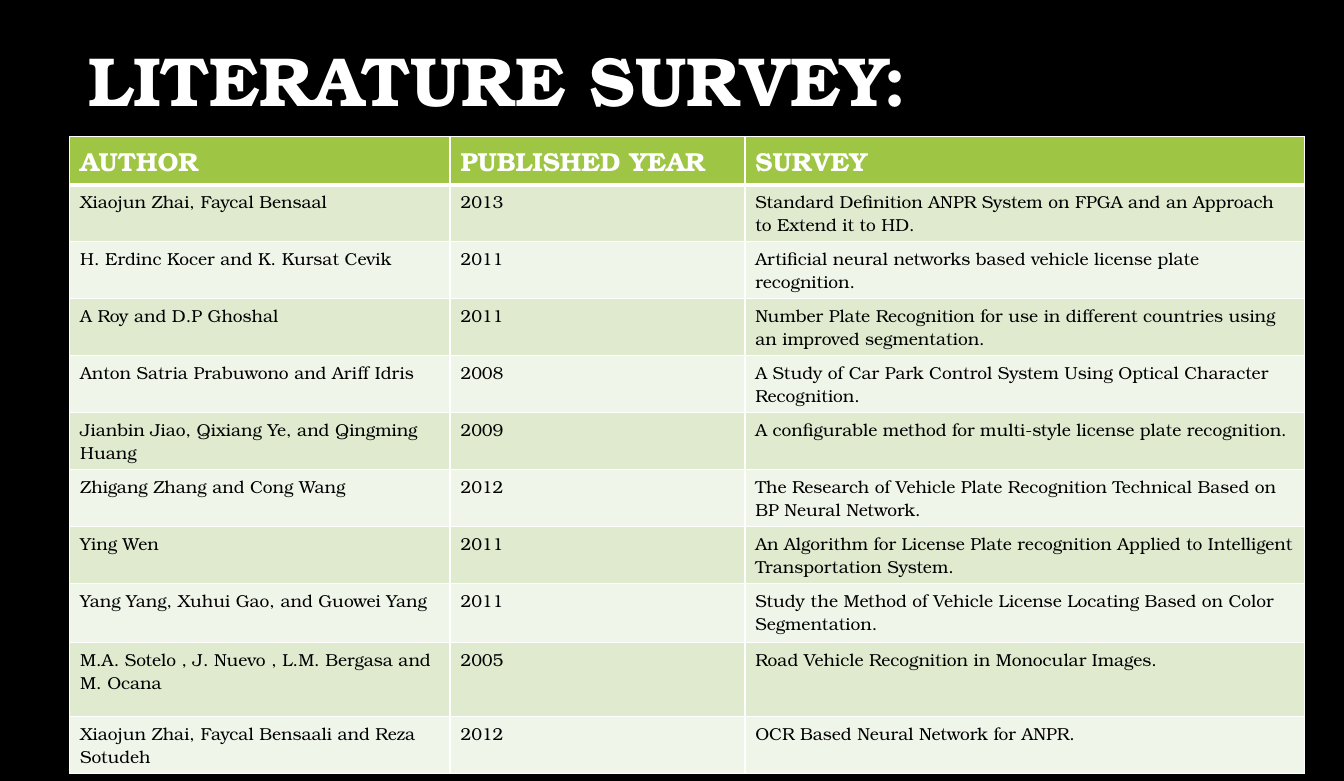
from lxml import etree
from pptx import Presentation
from pptx.dml.color import RGBColor
from pptx.enum.text import MSO_ANCHOR, MSO_AUTO_SIZE, PP_ALIGN
from pptx.oxml.ns import qn
from pptx.util import Inches, Pt

BOTTOM = MSO_ANCHOR.BOTTOM
TOP = MSO_ANCHOR.TOP
LEFT = PP_ALIGN.LEFT
NO_AUTOFIT = MSO_AUTO_SIZE.NONE
TITLE_ONLY = 5

SLIDE_COLUMNS, SLIDE_ROWS = 129, 75
GRID_UNIT = 0.1  # inches per grid column and row

WHITE, BLACK = "FFFFFF", "000000"
HEADER_GREEN = "9EC544"
BAND_FILLS = ("DFEACF", "F0F5E9")

HEADINGS = ("AUTHOR", "PUBLISHED YEAR", "SURVEY")
STUDIES = (
    ("Xiaojun Zhai, Faycal Bensaal", "2013",
     "Standard Definition ANPR System on FPGA and an Approach to Extend it to HD."),
    ("H. Erdinc Kocer and K. Kursat Cevik", "2011",
     "Artificial neural networks based vehicle license plate recognition."),
    ("A Roy and D.P Ghoshal", "2011",
     "Number Plate Recognition for use in different countries using an improved segmentation."),
    ("Anton Satria Prabuwono and Ariff Idris", "2008",
     "A Study of Car Park Control System Using Optical Character Recognition."),
    ("Jianbin Jiao, Qixiang Ye, and Qingming Huang", "2009",
     "A configurable method for multi-style license plate recognition."),
    ("Zhigang Zhang and Cong Wang", "2012",
     "The Research of Vehicle Plate Recognition Technical Based on BP Neural Network."),
    ("Ying Wen", "2011",
     "An Algorithm for License Plate recognition Applied to Intelligent Transportation System."),
    ("Yang Yang, Xuhui Gao, and Guowei Yang", "2011",
     "Study the Method of Vehicle License Locating Based on Color Segmentation."),
    ("M.A. Sotelo , J. Nuevo , L.M. Bergasa and M. Ocana", "2005",
     "Road Vehicle Recognition in Monocular Images."),
    ("Xiaojun Zhai, Faycal Bensaali and Reza Sotudeh", "2012",
     "OCR Based Neural Network for ANPR."),
)
COLUMN_WIDTHS = (36.5, 28.3, 53.7)
ROW_HEIGHTS = (4.6, *[5.1] * 7, 5.7, 7.1, 3.6)


def color(hex_string):
    return RGBColor.from_string(hex_string)


def grid(units):
    """Convert grid columns or rows to a slide length."""
    return Inches(units * GRID_UNIT)


def write(text_frame, text, *, size, fill, font, bold=False, line_spacing=None):
    paragraph = text_frame.paragraphs[0]
    paragraph.alignment = LEFT
    paragraph.line_spacing = line_spacing
    run = paragraph.add_run()
    run.text = text
    run.font.name = font
    run.font.size = Pt(size)
    run.font.bold = bold
    run.font.color.rgb = color(fill)


def add_border(cell, side, width):
    """Draw a white line on one cell side: L, R, T or B."""
    line = etree.SubElement(cell._tc.get_or_add_tcPr(), qn(f"a:ln{side}"), w=str(Pt(width)))
    fill = etree.SubElement(line, qn("a:solidFill"))
    etree.SubElement(fill, qn("a:srgbClr"), val=WHITE)


class SurveySlide:
    font = "TeX Gyre Bonum"

    def __init__(self, presentation):
        self.slide = presentation.slides.add_slide(presentation.slide_layouts[TITLE_ONLY])
        background = self.slide.background.fill
        background.solid()
        background.fore_color.rgb = color(BLACK)

    def title(self, text, left, top, width, height):
        shape = self.slide.shapes.title
        shape.left, shape.top = grid(left), grid(top)
        shape.width, shape.height = grid(width), grid(height)
        frame = shape.text_frame
        frame.word_wrap = True
        frame.auto_size = NO_AUTOFIT
        frame.vertical_anchor = BOTTOM
        write(frame, text, size=48, fill=WHITE, font=self.font, bold=True, line_spacing=0.9)

    def table(self, records, left, top, widths, heights):
        table = self.slide.shapes.add_table(
            len(records), len(widths), grid(left), grid(top),
            grid(sum(widths)), grid(sum(heights))).table
        for column, width in zip(table.columns, widths):
            column.width = grid(width)
        for row, height in zip(table.rows, heights):
            row.height = grid(height)
        for row_index, record in enumerate(records):
            for column_index, text in enumerate(record):
                self.cell(table.cell(row_index, column_index), text, row_index)

    def cell(self, cell, text, row_index):
        is_header = row_index == 0
        borders = {"L": 1, "R": 1, "T": 3 if row_index == 1 else 1, "B": 3 if is_header else 1}
        for side, width in borders.items():
            add_border(cell, side, width)
        cell.fill.solid()
        cell.fill.fore_color.rgb = color(
            HEADER_GREEN if is_header else BAND_FILLS[(row_index - 1) % 2])
        cell.vertical_anchor = TOP
        write(cell.text_frame, text, size=18 if is_header else 12,
              fill=WHITE if is_header else BLACK, font=self.font, bold=is_header)


def main():
    presentation = Presentation()
    presentation.slide_width = grid(SLIDE_COLUMNS)
    presentation.slide_height = grid(SLIDE_ROWS)
    survey = SurveySlide(presentation)
    survey.title("LITERATURE SURVEY:", 7.5, 2.4, 101.6, 9.8)
    survey.table((HEADINGS, *STUDIES), 6.7, 13.1, COLUMN_WIDTHS, ROW_HEIGHTS)
    presentation.save("out.pptx")


if __name__ == "__main__":
    main()
